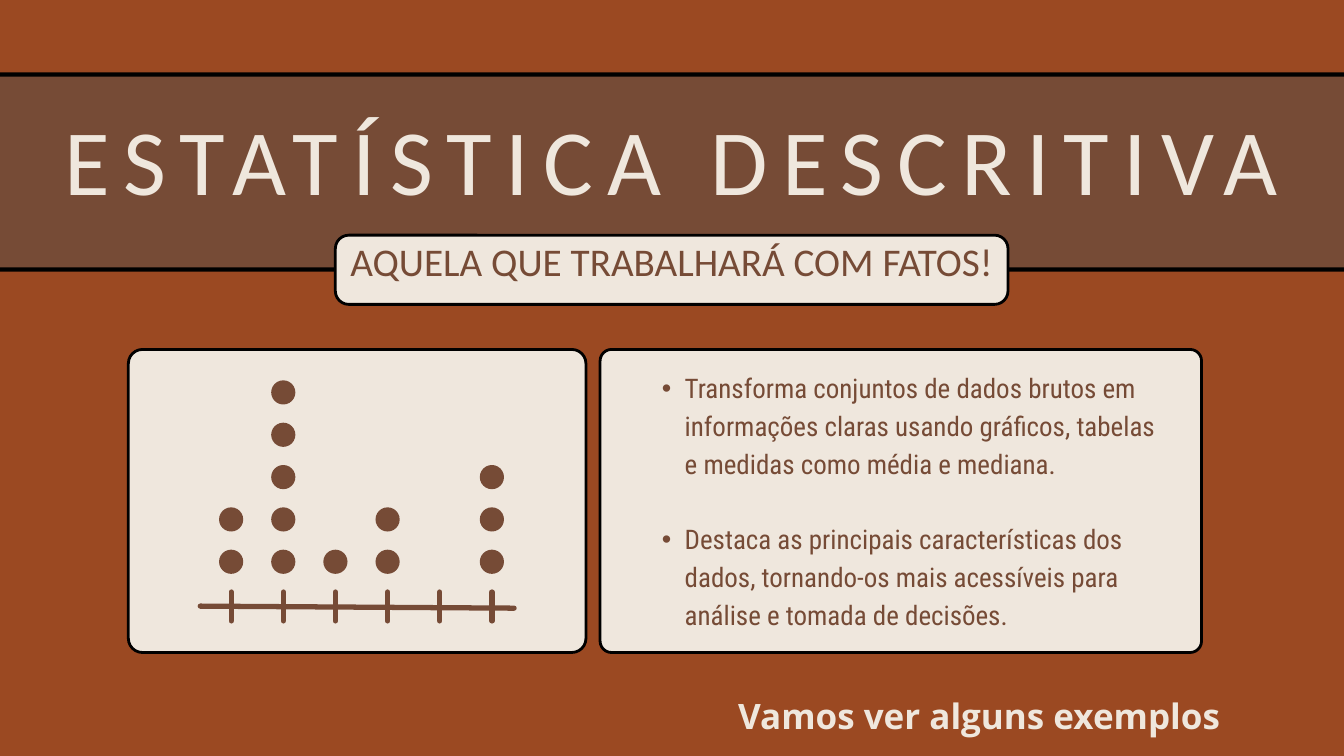
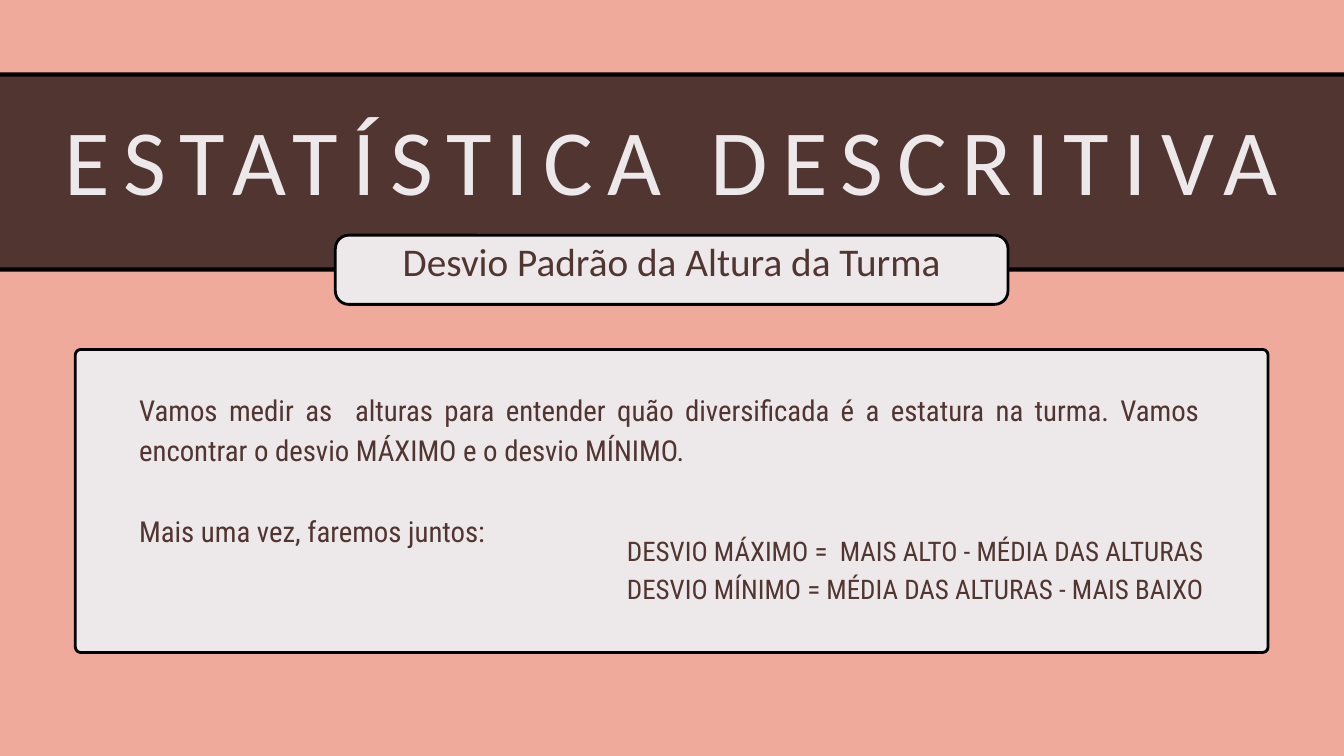
from lxml.etree import SubElement
from pptx import Presentation
from pptx.dml.color import RGBColor
from pptx.enum.shapes import MSO_CONNECTOR, MSO_SHAPE
from pptx.enum.text import MSO_ANCHOR, PP_ALIGN
from pptx.oxml.ns import qn
from pptx.util import Inches, Pt

# The slide is a grid of square cells: 20 columns by 11.25 rows.
COLUMNS, ROWS = 20, 11.25
CELL = Inches(1)

THEMES = {
    "rust": {"background": "9B4922", "dark": "764B36", "light": "EFE7DD"},
    "salmon": {"background": "EFAA9C", "dark": "503530", "light": "EDE8EA"},
}
OUTLINE = "000000"
TITLE = "ESTATÍSTICA DESCRITIVA"
HEADING_FONT, BODY_FONT, NOTE_FONT = "Calibri", "Roboto Condensed", "Open Sans"

PANEL_TOP, PANEL_HEIGHT = 5.2, 4.51
BADGE_LEFT, BADGE_WIDTH = 4.99, 10.01

DOT_COUNTS = [2, 5, 1, 2, 0, 3]
DOT_SIZE = 0.36
FIRST_COLUMN, COLUMN_STEP = 3.44, 0.776
BOTTOM_DOT, DOT_STEP = 8.36, 0.63
TICK_TOP, TICK_BOTTOM = 8.81, 9.24


def cells(*lengths):
    return [round(length * CELL) for length in lengths]


def rgb(color):
    return RGBColor.from_string(color)


def add_filled(slide, kind, box, fill):
    shape = slide.shapes.add_shape(kind, *cells(*box))
    shape.shadow.inherit = False
    shape.fill.solid()
    shape.fill.fore_color.rgb = rgb(fill)
    shape.line.fill.background()
    return shape


def add_panel(slide, box, fill, radius, line_width=3):
    """Rounded rectangle with a black outline; radius is in cells."""
    shape = add_filled(slide, MSO_SHAPE.ROUNDED_RECTANGLE, box, fill)
    shape.adjustments[0] = radius / min(box[2:])
    shape.line.color.rgb = rgb(OUTLINE)
    shape.line.width = Pt(line_width)


def add_stroke(slide, start, end, color):
    """Thick line with round ends."""
    line = slide.shapes.add_connector(MSO_CONNECTOR.STRAIGHT, *cells(*start, *end))
    line.line.color.rgb = rgb(color)
    line.line.width = Pt(5.64)
    line.line._get_or_add_ln().set("cap", "rnd")
    SubElement(line._element.spPr, qn("a:effectLst"))


def add_bullet(paragraph):
    properties = paragraph._p.get_or_add_pPr()
    properties.set("marL", str(Inches(0.68)))
    properties.set("indent", str(Inches(-0.34)))
    SubElement(properties, qn("a:buFont"), typeface="Arial")
    SubElement(properties, qn("a:buChar"), char="•")


def add_text(slide, box, lines, font, size, color, leading, align=PP_ALIGN.LEFT,
             bold=False, tracking=0, gap=0, bullets=False, inset=0,
             anchor=MSO_ANCHOR.TOP):
    """Text box with one paragraph per line; leading, gap and tracking are in points."""
    frame = slide.shapes.add_textbox(*cells(*box)).text_frame
    frame.word_wrap = True
    frame.vertical_anchor = anchor
    frame.margin_left = frame.margin_right = Inches(inset)
    frame.margin_top = frame.margin_bottom = Inches(inset)
    frame.text = "\n".join(lines)
    for index, paragraph in enumerate(frame.paragraphs):
        paragraph.alignment = align
        paragraph.line_spacing = Pt(leading)
        if index and gap:
            paragraph.space_before = Pt(gap)
        if bullets:
            add_bullet(paragraph)
        for run in paragraph.runs:
            run.font.name = font
            run.font.size = Pt(size)
            run.font.bold = bold
            run.font.color.rgb = rgb(color)
            if tracking:
                run._r.get_or_add_rPr().set("spc", str(round(tracking * 100)))


def add_header(slide, theme, subtitle):
    """Title band across the slide with a subtitle badge on its lower edge."""
    bleed = 1.43
    add_panel(slide, (-bleed, 1.11, COLUMNS + 2 * bleed - 0.08, 2.9),
              theme["dark"], 0.08, line_width=4.5)
    add_panel(slide, (BADGE_LEFT, 3.5, BADGE_WIDTH, 1.03), theme["light"], 0.2)
    add_text(slide, (BADGE_LEFT, 3.12, BADGE_WIDTH, 1.41), [subtitle],
             HEADING_FONT, 42, theme["dark"], 58.8, PP_ALIGN.CENTER,
             inset=0.06, anchor=MSO_ANCHOR.MIDDLE)
    add_text(slide, (0.87, 1.25, 18.27, 1.89), [TITLE], HEADING_FONT, 100,
             theme["light"], 140, PP_ALIGN.CENTER, tracking=15.2)


def add_dot_plot(slide, color):
    add_stroke(slide, (2.98, 9.02), (7.65, 9.05), color)
    for column, count in enumerate(DOT_COUNTS):
        x = FIRST_COLUMN + column * COLUMN_STEP
        add_stroke(slide, (x, TICK_TOP), (x, TICK_BOTTOM), color)
        for row in range(count):
            y = BOTTOM_DOT - row * DOT_STEP
            box = (x - DOT_SIZE / 2, y - DOT_SIZE / 2, DOT_SIZE, DOT_SIZE)
            add_filled(slide, MSO_SHAPE.OVAL, box, color)


def add_slide(presentation, theme):
    slide = presentation.slides.add_slide(presentation.slide_layouts[6])
    slide.background.fill.solid()
    slide.background.fill.fore_color.rgb = rgb(theme["background"])
    return slide


def build_concept_slide(presentation):
    theme = THEMES["rust"]
    slide = add_slide(presentation, theme)
    add_panel(slide, (1.91, PANEL_TOP, 6.81, PANEL_HEIGHT), theme["light"], 0.21)
    add_dot_plot(slide, theme["dark"])
    add_panel(slide, (8.93, PANEL_TOP, 8.95, PANEL_HEIGHT), theme["light"], 0.17)
    add_header(slide, theme, "AQUELA QUE TRABALHARÁ COM FATOS!")
    add_text(slide, (9.51, 5.45, 7.7, 4.48), [
        "Transforma conjuntos de dados brutos em informações claras usando "
        "gráficos, tabelas e medidas como média e mediana.",
        "Destaca as principais características dos dados, tornando-os mais "
        "acessíveis para análise e tomada de decisões.",
    ], BODY_FONT, 28.9, theme["dark"], 40.5, gap=40.5, bullets=True)
    add_text(slide, (10.97, 10.23, 7.21, 0.71), ["Vamos ver alguns exemplos"],
             NOTE_FONT, 37.5, theme["light"], 52.5, PP_ALIGN.CENTER, bold=True)


def build_deviation_slide(presentation):
    theme = THEMES["salmon"]
    slide = add_slide(presentation, theme)
    add_panel(slide, (1.12, PANEL_TOP, 17.75, PANEL_HEIGHT), theme["light"], 0.08)
    add_header(slide, theme, "Desvio Padrão da Altura da Turma")
    add_text(slide, (2.07, 5.75, 15.78, 2.36), [
        "Vamos medir as  alturas para entender quão diversificada é a estatura "
        "na turma. Vamos encontrar o desvio MÁXIMO e o desvio MÍNIMO.",
        "Mais uma vez, faremos juntos:",
    ], BODY_FONT, 30.9, theme["dark"], 43.3, PP_ALIGN.JUSTIFY, gap=43.3)
    add_text(slide, (9.33, 7.88, 10.17, 1.67), [
        "DESVIO MÁXIMO =  MAIS ALTO - MÉDIA DAS ALTURAS",
        "DESVIO MÍNIMO = MÉDIA DAS ALTURAS - MAIS BAIXO",
    ], BODY_FONT, 28.9, theme["dark"], 40.5)


def main():
    presentation = Presentation()
    presentation.slide_width, presentation.slide_height = cells(COLUMNS, ROWS)
    build_concept_slide(presentation)
    build_deviation_slide(presentation)
    presentation.save("out.pptx")


if __name__ == "__main__":
    main()
